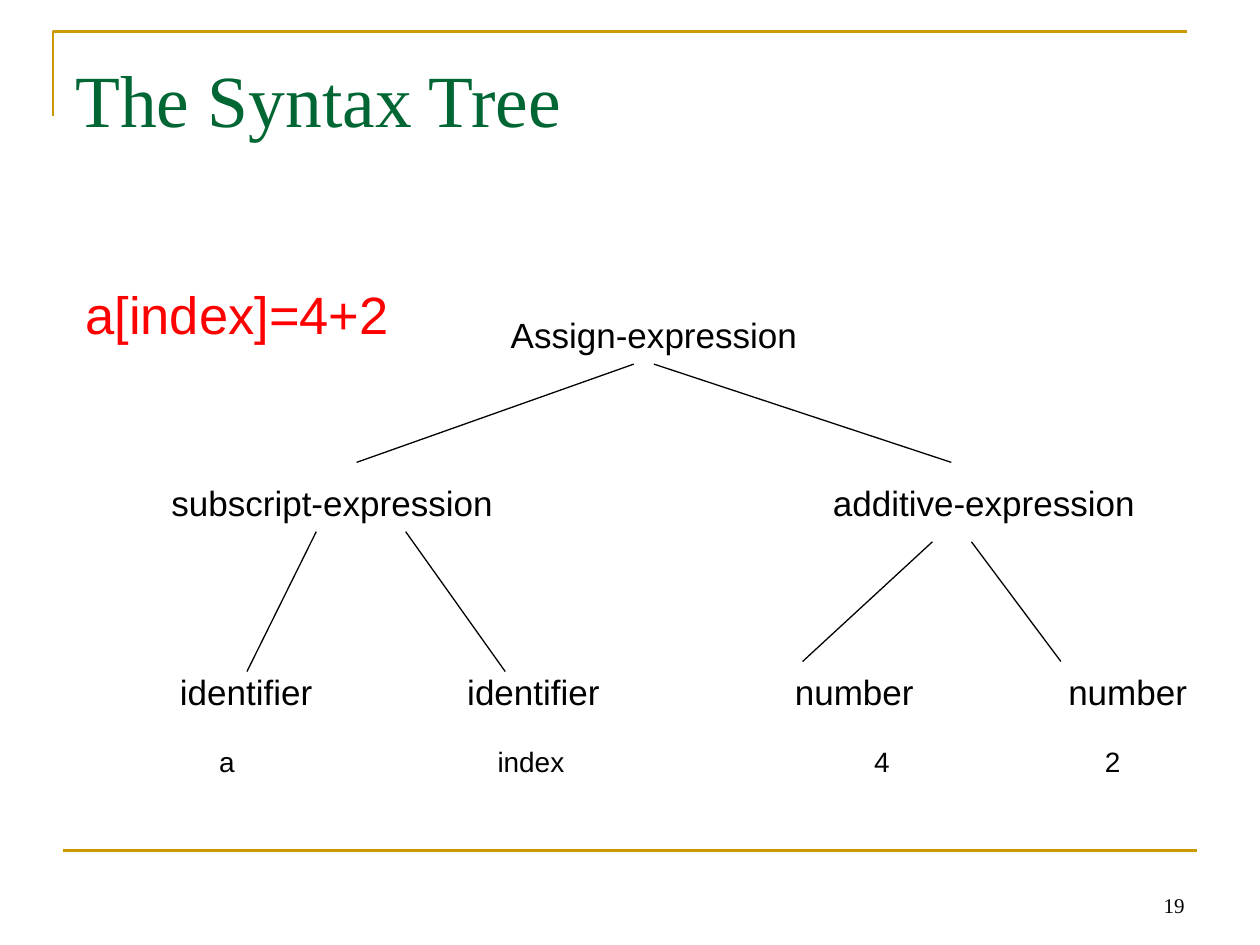
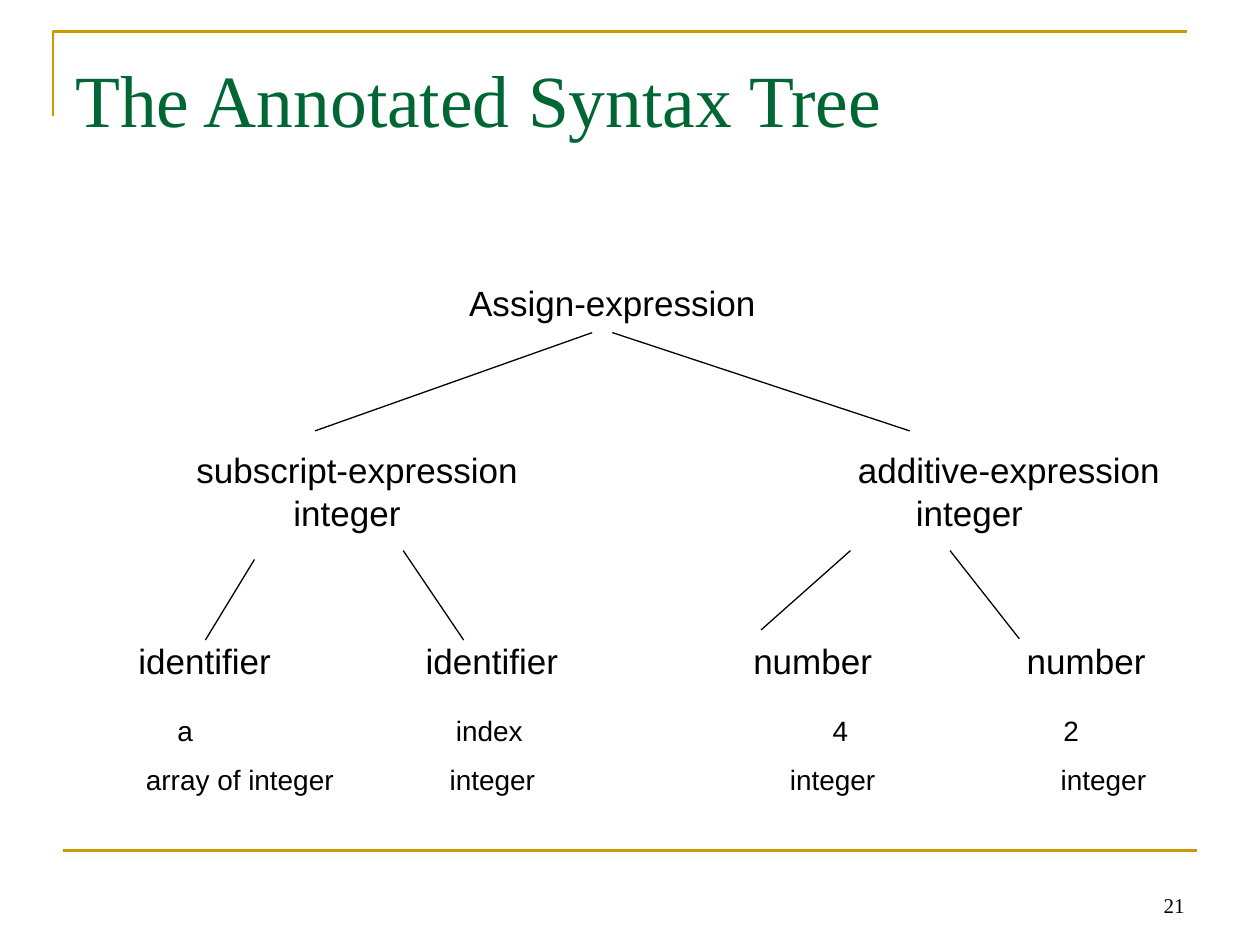
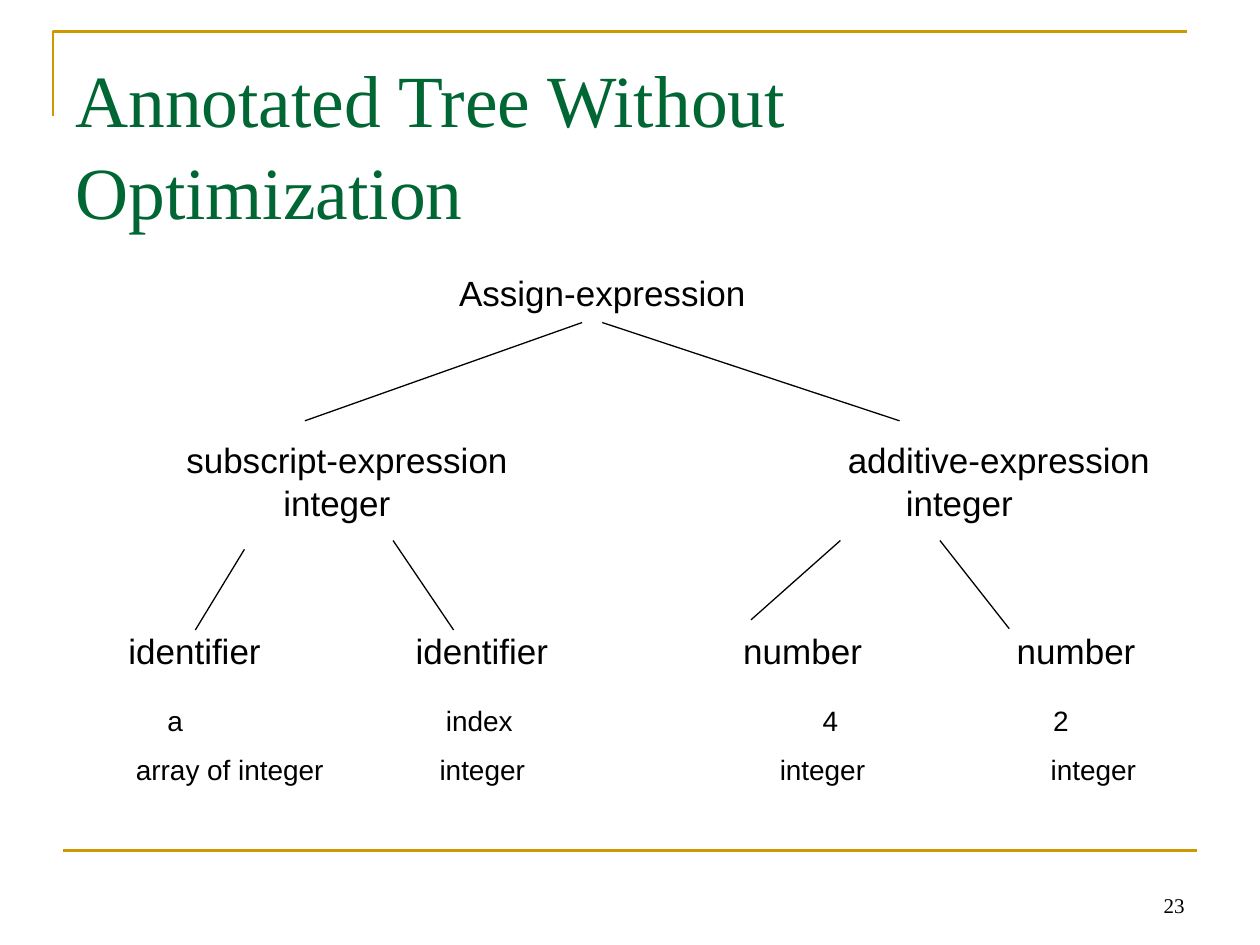
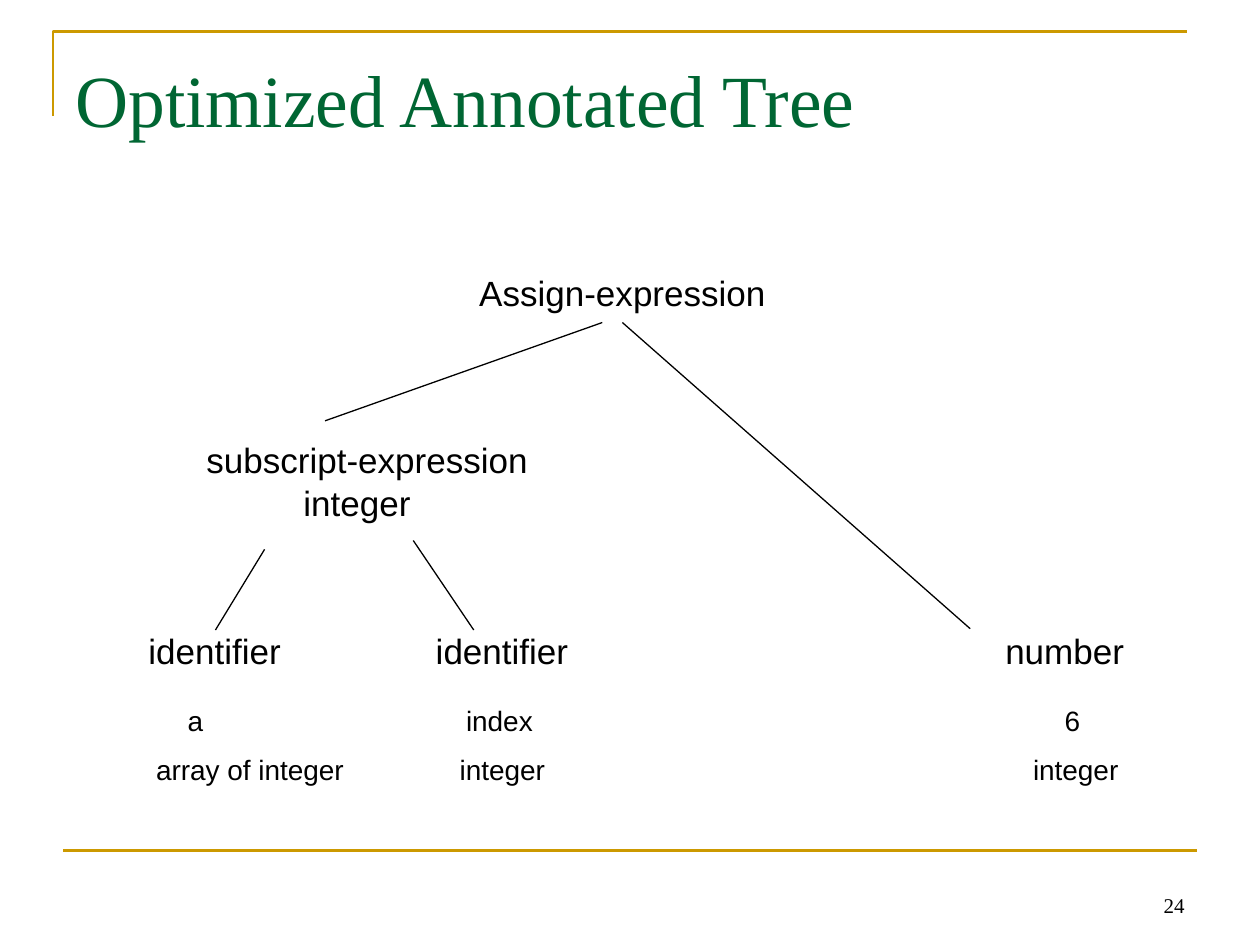
from dataclasses import dataclass

from lxml.etree import SubElement
from pptx import Presentation
from pptx.dml.color import RGBColor
from pptx.enum.shapes import MSO_CONNECTOR, MSO_SHAPE
from pptx.enum.text import MSO_ANCHOR, PP_ALIGN
from pptx.oxml.ns import qn
from pptx.util import Inches, Pt

GOLD = RGBColor(0xCC, 0x99, 0x00)
GREEN = RGBColor(0x00, 0x66, 0x33)
RED = RGBColor(0xFF, 0x00, 0x00)
BLACK = RGBColor(0x00, 0x00, 0x00)
WHITE = RGBColor(0xFF, 0xFF, 0xFF)
SERIF = "Times New Roman"
SANS = "Arial"
TREE_WIDTH = 7.72
INSET = 0.1


@dataclass(frozen=True)
class Line:
    """Words of one text line and their distances from the tree's left edge."""
    words: tuple[str, ...]
    starts: tuple[float, ...] = ()


@dataclass(frozen=True)
class Row:
    """One level of a tree, placed below the tree's top edge."""
    top: float
    height: float
    size: int
    lines: tuple[Line, ...]


@dataclass(frozen=True)
class Branch:
    """A line between two points measured from the tree's top left corner."""
    x1: float
    y1: float
    x2: float
    y2: float


@dataclass(frozen=True)
class Tree:
    """A titled slide with one tree."""
    title: str
    number: int
    left: float
    top: float
    rows: tuple[Row, ...]
    branches: tuple[Branch, ...]
    statement: str = ""


def lexeme_row(*lines: Line) -> Row:
    """Return the row of source words below the leaves."""
    return Row(3.55, 0.32, 16, lines)


def type_row(*lines: Line) -> Row:
    """Return the row of leaf types."""
    return Row(3.94, 0.32, 16, lines)


def leaf_row(*lines: Line) -> Row:
    """Return the row of leaf nodes."""
    return Row(2.84, 0.63, 20, lines)


def operator_row(height: float, *lines: Line) -> Row:
    """Return the row of nodes below the root."""
    return Row(1.34, height, 20, lines)


ROOT = Row(0, 0.63, 20, (Line(("Assign-expression",)),))
OPERATORS = ("subscript-expression", "additive-expression")
LEAVES = leaf_row(Line(("identifier", "identifier", "number", "number"), (0.1, 2.38, 4.98, 7.15)))
LEXEMES = lexeme_row(Line(("a", "index", "4", "2"), (0.41, 2.62, 5.61, 7.44)))
PLAIN_ROWS = (LEXEMES, LEAVES, operator_row(0.63, Line(OPERATORS, (0.03, 5.28))), ROOT)
ANNOTATED_ROWS = (
    LEXEMES,
    LEAVES,
    operator_row(0.94, Line(OPERATORS, (0.56, 5.81)), Line(("integer", "integer"), (1.33, 6.27))),
    ROOT,
    type_row(Line(("array of integer", "integer", "integer", "integer"), (0.16, 2.57, 5.27, 7.42))),
)
OPTIMIZED_ROWS = (
    lexeme_row(Line(("a", "index", "6"), (0.41, 2.62, 7.37))),
    leaf_row(Line(("identifier", "identifier", "number"), (0.1, 2.38, 6.9))),
    operator_row(0.94, Line(OPERATORS[:1], (0.56,)), Line(("integer",), (1.33,))),
    ROOT,
    type_row(Line(("array of integer", "integer", "integer"), (0.16, 2.57, 7.12))),
)

ROOT_LEFT = Branch(3.7, 0.56, 1.5, 1.34)
ROOT_RIGHT = Branch(3.86, 0.56, 6.22, 1.34)
PLAIN_BRANCHES = (
    ROOT_LEFT,
    ROOT_RIGHT,
    Branch(1.18, 1.89, 0.63, 3),
    Branch(1.89, 1.89, 2.68, 3),
    Branch(6.07, 1.97, 5.04, 2.92),
    Branch(6.38, 1.97, 7.09, 2.92),
)
SUBSCRIPT_BRANCHES = (Branch(1.02, 2.36, 0.63, 3), Branch(2.2, 2.29, 2.68, 3))
ANNOTATED_BRANCHES = (
    ROOT_LEFT,
    ROOT_RIGHT,
    *SUBSCRIPT_BRANCHES,
    Branch(5.75, 2.29, 5.04, 2.92),
    Branch(6.54, 2.29, 7.09, 2.99),
)
OPTIMIZED_BRANCHES = (ROOT_LEFT, Branch(3.86, 0.56, 6.62, 2.99), *SUBSCRIPT_BRANCHES)

TREES = (
    Tree("The Syntax Tree", 19, 1.33, 2.33, PLAIN_ROWS, PLAIN_BRANCHES, "a[index]=4+2"),
    Tree("The Annotated Syntax Tree", 21, 1, 2.08, ANNOTATED_ROWS, ANNOTATED_BRANCHES),
    Tree("Annotated Tree Without Optimization", 23, 0.92, 2, ANNOTATED_ROWS, ANNOTATED_BRANCHES),
    Tree("Optimized Annotated Tree", 24, 1.08, 2, OPTIMIZED_ROWS, OPTIMIZED_BRANCHES),
)


def style_paragraph(para, name: str, size: int, color: RGBColor, align=PP_ALIGN.LEFT) -> None:
    """Set the font, spacing and alignment of a paragraph."""
    para.alignment = align
    para.line_spacing = 1.04
    para.font.name = name
    para.font.size = Pt(size)
    para.font.color.rgb = color


def add_text(page, text: str, left: float, top: float, width: float, height: float,
             name: str, size: int, color: RGBColor, align=PP_ALIGN.LEFT,
             anchor=MSO_ANCHOR.TOP, top_inset: float = 0.05) -> None:
    """Add a wrapped text box with one paragraph."""
    box = page.shapes.add_textbox(Inches(left), Inches(top), Inches(width), Inches(height))
    frame = box.text_frame
    frame.word_wrap = True
    frame.vertical_anchor = anchor
    frame.margin_top = Inches(top_inset)
    frame.text = text
    style_paragraph(frame.paragraphs[0], name, size, color, align)


def add_rule(shapes, x1: float, y1: float, x2: float, y2: float,
             color: RGBColor, weight: float) -> None:
    """Add a straight line without a shadow."""
    rule = shapes.add_connector(
        MSO_CONNECTOR.STRAIGHT, Inches(x1), Inches(y1), Inches(x2), Inches(y2))
    rule.line.color.rgb = color
    rule.line.width = Pt(weight)
    SubElement(rule._element.spPr, qn("a:effectLst"))


def add_frame(page, title: str, number: int) -> None:
    """Add the gold rules, the title and the page number."""
    builder = page.shapes.build_freeform(Inches(0.42), Inches(0.92))
    builder.add_line_segments(
        [(Inches(0.42), Inches(0.25)), (Inches(9.42), Inches(0.25))], close=False)
    corner = builder.convert_to_shape()
    corner.shadow.inherit = False
    corner.fill.background()
    corner.line.color.rgb = GOLD
    corner.line.width = Pt(1.5)
    add_rule(page.shapes, 0.5, 6.75, 9.5, 6.75, GOLD, 1.5)
    add_text(page, title, 0.5, 0.3, 9, 1.25, SERIF, 42, GREEN, top_inset=0.1)
    add_text(page, str(number), 7.17, 6.83, 2.33, 0.5, SERIF, 12, BLACK,
             PP_ALIGN.RIGHT, MSO_ANCHOR.BOTTOM)


def fill_line(para, line: Line, size: int, inset: float) -> None:
    """Write a line, with a tab stop for each word beyond the inset."""
    stops = [start - inset for start in line.starts if start > inset]
    tabs_before = len(stops) - len(line.words) + 1
    para.text = "\t" * max(tabs_before, 0) + "\t".join(line.words)
    if stops:
        tab_list = SubElement(para._p.get_or_add_pPr(), qn("a:tabLst"))
        for stop in stops:
            SubElement(tab_list, qn("a:tab"), pos=str(Inches(stop)), algn="l")
    style_paragraph(para, SANS, size, BLACK, PP_ALIGN.LEFT if line.starts else PP_ALIGN.CENTER)


def add_row(shapes, row: Row, left: float, top: float) -> None:
    """Add one level of a tree as a white band of words."""
    band = shapes.add_shape(MSO_SHAPE.RECTANGLE, Inches(left), Inches(top + row.top),
                            Inches(TREE_WIDTH), Inches(row.height))
    band.shadow.inherit = False
    band.fill.solid()
    band.fill.fore_color.rgb = WHITE
    band.line.color.rgb = WHITE
    band.line.width = Pt(0.75)
    frame = band.text_frame
    frame.word_wrap = False
    frame.vertical_anchor = MSO_ANCHOR.MIDDLE
    inset = min((INSET, *row.lines[0].starts))
    frame.margin_left = Inches(inset)
    for index, line in enumerate(row.lines):
        para = frame.add_paragraph() if index else frame.paragraphs[0]
        fill_line(para, line, row.size, inset)


def add_tree(page, tree: Tree) -> None:
    """Add the grouped rows and branches of a tree."""
    shapes = page.shapes.add_group_shape().shapes
    for row in tree.rows:
        add_row(shapes, row, tree.left, tree.top)
    for branch in tree.branches:
        add_rule(shapes, tree.left + branch.x1, tree.top + branch.y1,
                 tree.left + branch.x2, tree.top + branch.y2, BLACK, 0.75)


def main() -> None:
    """Build the deck and save it."""
    deck = Presentation()
    deck.slide_width = Inches(10)
    deck.slide_height = Inches(7.5)
    for tree in TREES:
        page = deck.slides.add_slide(deck.slide_layouts[6])
        add_frame(page, tree.title, tree.number)
        add_tree(page, tree)
        if tree.statement:
            add_text(page, tree.statement, 0.58, 2.17, 2.67, 0.83, SANS, 30, RED)
    deck.save("out.pptx")


if __name__ == "__main__":
    main()
